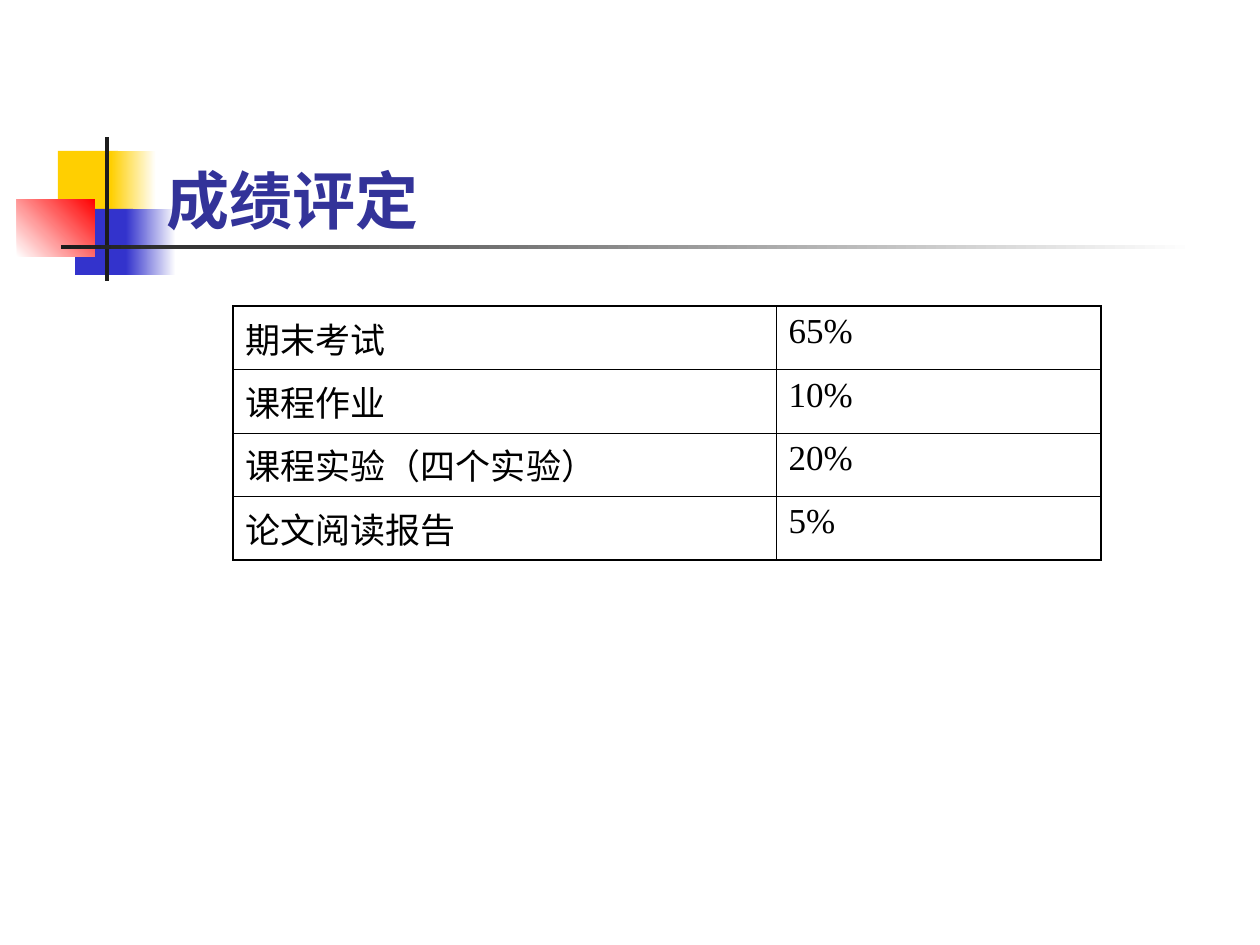
from typing import Any, NamedTuple

from lxml.etree import SubElement
from pptx import Presentation
from pptx.dml.color import RGBColor
from pptx.enum.shapes import MSO_SHAPE as Shape
from pptx.enum.text import MSO_ANCHOR as Anchor
from pptx.oxml.ns import qn
from pptx.util import Emu, Pt

EMU_PER_PX = 914400 / 126
INK, YELLOW, BLUE, RED, WHITE = "1C1C1C", "FFCF01", "3333CC", "FF0000", "FFFFFF"
THIN, THICK = 0.45, 1.08


class Block(NamedTuple):
    """A decorative rectangle with one fill colour, or two for a gradient."""
    left: int
    top: int
    width: int
    height: int
    colours: tuple[str, ...]
    angle: int = 0


class Grade(NamedTuple):
    """One graded part of the course and its weight."""
    item: str
    weight: str


BLOCKS = [
    Block(58, 151, 60, 66, (YELLOW,)),
    Block(111, 151, 45, 66, (YELLOW, WHITE)),
    Block(75, 209, 58, 66, (BLUE,)),
    Block(126, 209, 50, 66, (BLUE, WHITE)),
    Block(17, 199, 78, 58, (WHITE, RED), 45),
    Block(105, 137, 4, 144, (INK,)),
    Block(61, 245, 1134, 4, (INK, WHITE)),
]
GRADES = [
    Grade("期末考试", "65%"),
    Grade("课程作业", "10%"),
    Grade("课程实验（四个实验）", "20%"),
    Grade("论文阅读报告", "5%"),
]
COLUMN_WIDTHS = (543, 325)
COLUMN_FONTS = ("Noto Sans CJK SC", "Times New Roman")
ROW_HEIGHT = 63
CELL_FORMAT = {"size": Pt(20), "bold": False}
TITLE_FORMAT = {"size": Pt(36), "bold": True}


def px(length: int) -> Emu:
    """Turn pixels into EMU."""
    return Emu(round(length * EMU_PER_PX))


def rgb(colour: str) -> RGBColor:
    """Turn a hex string into a colour."""
    return RGBColor.from_string(colour)


def write(frame: Any, text: str, typeface: str, colour: str, formats: dict[str, Any]) -> None:
    """Write one formatted span into a text frame."""
    span = frame.paragraphs[0].add_run()
    span.text = text
    for name, value in formats.items():
        setattr(span.font, name, value)
    span.font.color.rgb = rgb(colour)
    span.font.name = typeface
    SubElement(span.font._element, qn("a:ea"), typeface=typeface)


def draw_block(slide: Any, block: Block) -> None:
    """Draw a rectangle with a solid or gradient fill."""
    box = slide.shapes.add_shape(Shape.RECTANGLE, *map(px, block[:4]))
    box.shadow.inherit = False
    box.line.fill.background()
    if len(block.colours) == 1:
        box.fill.solid()
        box.fill.fore_color.rgb = rgb(block.colours[0])
    else:
        box.fill.gradient()
        box.fill.gradient_angle = block.angle
        for stop, colour in zip(box.fill.gradient_stops, block.colours):
            stop.color.rgb = rgb(colour)


def draw_borders(cell: Any, edges: dict[str, bool]) -> None:
    """Line a cell, thicker on the outer edges of the table."""
    properties = cell._tc.get_or_add_tcPr()
    for side, is_outer in edges.items():
        width = Pt(THICK if is_outer else THIN)
        line = SubElement(properties, qn(f"a:ln{side}"), w=str(width))
        fill = SubElement(line, qn("a:solidFill"))
        SubElement(fill, qn("a:srgbClr"), val="000000")


def draw_grades(slide: Any, left: int, top: int, grades: list[Grade]) -> None:
    """Draw the table of grade weights."""
    last_row, last_column = len(grades) - 1, len(COLUMN_WIDTHS) - 1
    size = (sum(COLUMN_WIDTHS), ROW_HEIGHT * len(grades))
    table = slide.shapes.add_table(
        len(grades), len(COLUMN_WIDTHS), px(left), px(top), *map(px, size)
    ).table
    table.first_row = table.horz_banding = False
    for column, width in zip(table.columns, COLUMN_WIDTHS):
        column.width = px(width)
    for row, grade in enumerate(grades):
        for column, text in enumerate(grade):
            cell = table.cell(row, column)
            draw_borders(cell, {
                "L": column == 0,
                "R": column == last_column,
                "T": row == 0,
                "B": row == last_row,
            })
            cell.fill.background()
            write(cell.text_frame, text, COLUMN_FONTS[column], "000000", CELL_FORMAT)


def draw_title(slide: Any, text: str) -> None:
    """Draw the slide title."""
    box = slide.shapes.add_textbox(px(154), px(155), px(635), px(88))
    box.text_frame.word_wrap = True
    box.text_frame.vertical_anchor = Anchor.TOP
    write(box.text_frame, text, "Lato", "333399", TITLE_FORMAT)


def main() -> None:
    """Build and save the deck."""
    deck = Presentation()
    deck.slide_width, deck.slide_height = px(1260), px(945)
    slide = deck.slides.add_slide(deck.slide_layouts[6])
    for block in BLOCKS:
        draw_block(slide, block)
    draw_grades(slide, 233, 306, GRADES)
    draw_title(slide, "成绩评定")
    deck.save("out.pptx")


if __name__ == "__main__":
    main()
